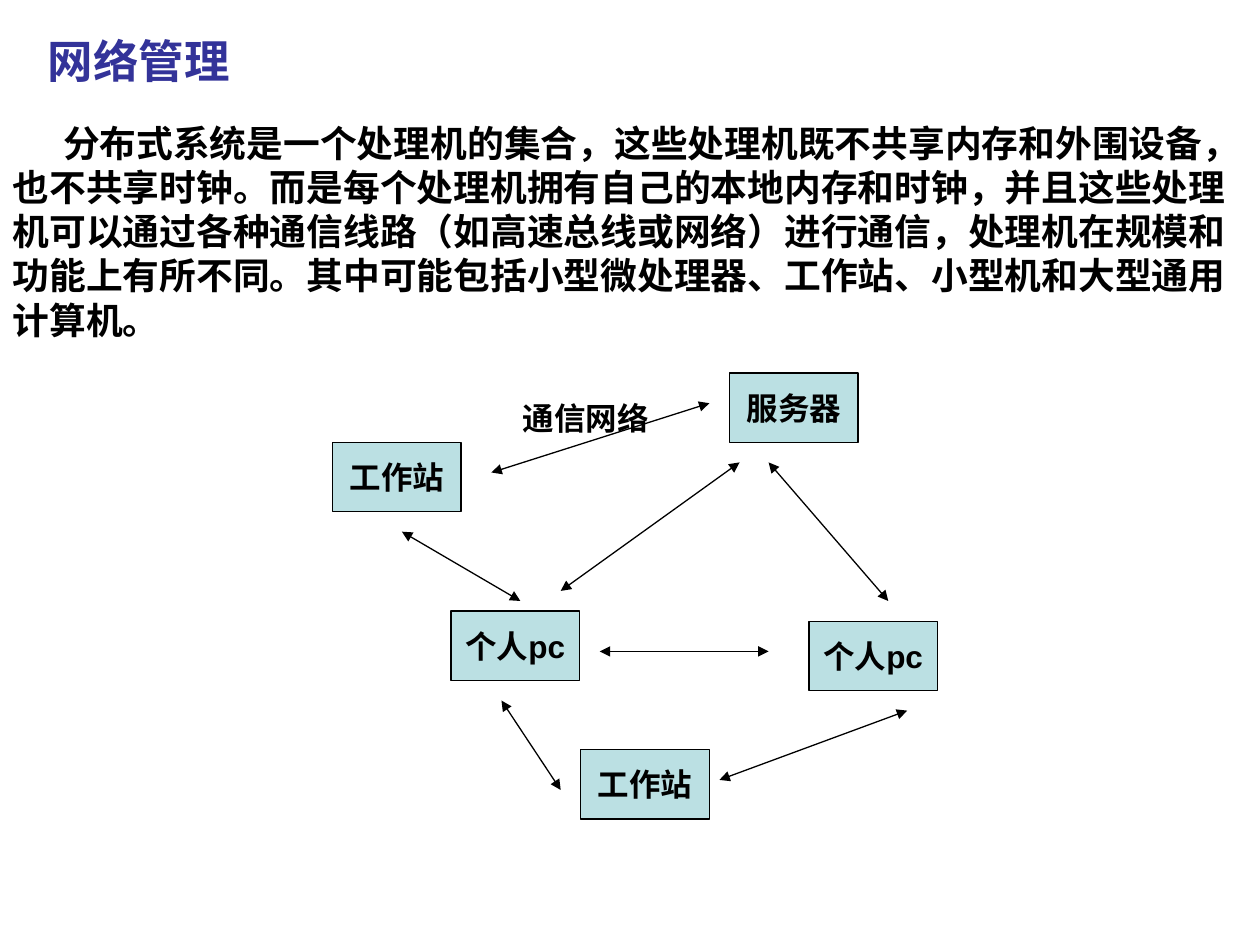
from dataclasses import dataclass

from lxml.etree import SubElement
from pptx import Presentation
from pptx.dml.color import RGBColor
from pptx.enum.shapes import MSO_CONNECTOR, MSO_SHAPE
from pptx.enum.text import MSO_ANCHOR, MSO_AUTO_SIZE, PP_ALIGN
from pptx.oxml.ns import qn
from pptx.util import Inches, Pt


@dataclass(frozen=True)
class Theme:
    """Colours, type sizes and line width of the slide."""
    font: str = "Arial"
    head: RGBColor = RGBColor(0x33, 0x33, 0x99)
    ink: RGBColor = RGBColor(0, 0, 0)
    fill: RGBColor = RGBColor(0xBB, 0xE0, 0xE3)
    title: Pt = Pt(26)
    body: Pt = Pt(21)
    node: Pt = Pt(18)
    line: Pt = Pt(0.75)


THEME = Theme()
NODE_W, NODE_H = 1.02, 0.55
NODES = [
    ("工作站", 0, 0.55),
    ("个人pc", 3.78, 1.97),
    ("工作站", 1.97, 2.99),
    ("个人pc", 0.94, 1.89),
    ("服务器", 3.15, 0),
]
LINKS = [
    (2.12, 2.21, 3.46, 2.21),
    (1.26, 0.79, 2.99, 0.24),
    (3.46, 0.71, 4.41, 1.81),
    (3.07, 3.23, 4.56, 2.68),
    (0.55, 1.26, 1.49, 1.81),
    (1.81, 1.73, 3.23, 0.71),
    (1.81, 3.31, 1.34, 2.60),
]


def place(shape, box):
    """Move a shape to a box given in inches."""
    shape.left, shape.top, shape.width, shape.height = map(Inches, box)


def write(shape, text, size, color, align, anchor, wrap):
    """Write one bold run into a shape and return its paragraph."""
    frame = shape.text_frame
    frame.auto_size = MSO_AUTO_SIZE.NONE
    frame.word_wrap = wrap
    frame.vertical_anchor = anchor
    para = frame.paragraphs[0]
    para.alignment = align
    para.space_before = Pt(0)
    run = para.add_run()
    run.text = text
    font = run.font
    font.name, font.size, font.bold = THEME.font, size, True
    font.color.rgb = color
    return para


def add_title(slide, box, text):
    """Fill the title placeholder."""
    place(slide.shapes.title, box)
    write(slide.shapes.title, text, THEME.title, THEME.head,
          PP_ALIGN.LEFT, MSO_ANCHOR.TOP, False)


def add_body(slide, box, text):
    """Fill the body placeholder with one indented paragraph."""
    body = slide.placeholders[1]
    place(body, box)
    para = write(body, text, THEME.body, THEME.ink,
                 PP_ALIGN.LEFT, MSO_ANCHOR.TOP, True)
    props = para._p.get_or_add_pPr()
    props.set("marL", "0")
    props.set("indent", str(Inches(0.4)))
    SubElement(props, qn("a:buNone"))


def add_node(group, box, text):
    """Draw one machine of the network."""
    node = group.shapes.add_shape(MSO_SHAPE.RECTANGLE, *map(Inches, box))
    node.shadow.inherit = False
    node.fill.solid()
    node.fill.fore_color.rgb = THEME.fill
    node.line.color.rgb = THEME.ink
    node.line.width = THEME.line
    write(node, text, THEME.node, THEME.ink,
          PP_ALIGN.CENTER, MSO_ANCHOR.MIDDLE, False)


def add_link(group, ends):
    """Draw one line with an arrowhead at both ends."""
    link = group.shapes.add_connector(MSO_CONNECTOR.STRAIGHT, *map(Inches, ends))
    link.line.color.rgb = THEME.ink
    link.line.width = THEME.line
    stroke = link.line._get_or_add_ln()
    for end in ("a:headEnd", "a:tailEnd"):
        SubElement(stroke, qn(end), type="triangle")
    SubElement(link._element.spPr, qn("a:effectLst"))


def add_net(slide, left, top):
    """Draw the grouped network from its top left corner."""
    group = slide.shapes.add_group_shape()
    for text, x, y in NODES:
        add_node(group, (left + x, top + y, NODE_W, NODE_H), text)
    for x1, y1, x2, y2 in LINKS:
        add_link(group, (left + x1, top + y1, left + x2, top + y2))
    box = (left + 1.34, top + 0.16, 1.34, 0.4)
    label = group.shapes.add_textbox(*map(Inches, box))
    write(label, "通信网络", THEME.node, THEME.ink,
          PP_ALIGN.CENTER, MSO_ANCHOR.TOP, True)


def main():
    """Build and save the slide."""
    deck = Presentation()
    deck.slide_width, deck.slide_height = Inches(10), Inches(7.5)
    slide = deck.slides.add_slide(deck.slide_layouts[1])
    add_title(slide, (0.28, 0.21, 1.7, 0.54), "网络管理")
    add_body(slide, (0, 0.91, 10, 1.85),
             "分布式系统是一个处理机的集合，这些处理机既不共享内存和外围设备，"
             "也不共享时钟。而是每个处理机拥有自己的本地内存和时钟，"
             "并且这些处理机可以通过各种通信线路（如高速总线或网络）进行通信，"
             "处理机在规模和功能上有所不同。其中可能包括小型微处理器、工作站、"
             "小型机和大型通用计算机。")
    add_net(slide, 2.64, 2.96)
    deck.save("out.pptx")


if __name__ == "__main__":
    main()
